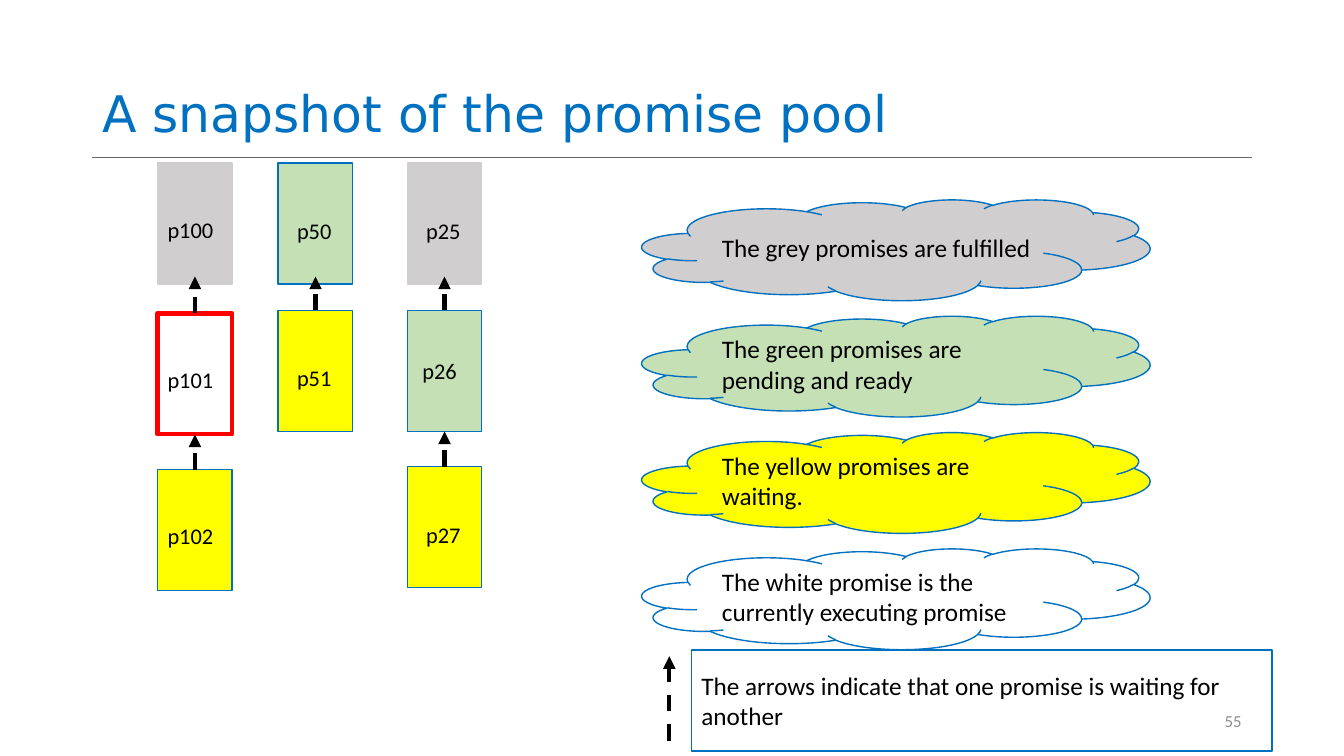
import pptx
import pptx.util
import pptx.dml.color
import pptx.enum.dml
import pptx.enum.shapes
import pptx.enum.text
import pptx.oxml.ns
from lxml import etree

Pt = pptx.util.Pt
SHAPE = pptx.enum.shapes.MSO_SHAPE
ALIGN = pptx.enum.text.PP_ALIGN
ANCHOR = pptx.enum.text.MSO_ANCHOR

BLUE, BLACK, RED, RULE = "0070C0", "000000", "FF0000", "666666"
FILLS = {"grey": "D0CECE", "green": "C5E0B4", "yellow": "FFFF00", "white": "FFFFFF"}

# Each chain: left edge, then (label, state, top, left inset, top inset) downwards
CHAINS = [
    (112.6, [("p100", "grey", 116.6, 7.2, 8), ("p101", "white", 223.9, 7.2, 8),
             ("p102", "yellow", 335.5, 7.2, 8)]),
    (198.7, [("p50", "green", 116.6, 13.5, 10), ("p51", "yellow", 221.8, 13.5, 10)]),
    (290.9, [("p25", "grey", 116.6, 13.5, 10), ("p26", "green", 221.8, 10.8, 0),
             ("p27", "yellow", 333.4, 13.5, 10)]),
]
PROMISE_WIDTH, PROMISE_HEIGHT = 53.3, 86.4
FIRST_ARROW_END = 197.6

LEGEND = [
    ("grey", "The grey promises are fulfilled"),
    ("green", "The green promises are pending and ready"),
    ("yellow", "The yellow promises are waiting."),
    ("white", "The white promise is the currently executing promise"),
]
CLOUD_LEFT, CLOUD_TOP, CLOUD_STEP = 458.6, 142.6, 83.1
CLOUD_WIDTH, CLOUD_HEIGHT = 362.9, 72


def rgb(value):
    return pptx.dml.color.RGBColor.from_string(value)


def write(box, text, size=18, color=BLACK, font="Calibri", align=ALIGN.LEFT,
          anchor=ANCHOR.MIDDLE, spacing=1.0, insets=(7.2, 3.6, 7.2, 3.6)):
    frame = box.text_frame
    frame.word_wrap = True
    frame.vertical_anchor = anchor
    (frame.margin_left, frame.margin_top,
     frame.margin_right, frame.margin_bottom) = map(Pt, insets)
    para = frame.paragraphs[0]
    para.alignment = align
    para.line_spacing = spacing
    span = para.add_run()
    span.text = text
    span.font.size = Pt(size)
    span.font.name = font
    span.font.color.rgb = rgb(color)


def add_box(page, kind, left, top, width, height, fill=None, line=BLUE, weight=1):
    box = page.shapes.add_shape(kind, Pt(left), Pt(top), Pt(width), Pt(height))
    box.shadow.inherit = False
    if fill:
        box.fill.solid()
        box.fill.fore_color.rgb = rgb(fill)
    else:
        box.fill.background()
    box.line.color.rgb = rgb(line)
    box.line.width = Pt(weight)
    return box


def add_line(page, x1, y1, x2, y2, color=BLACK, weight=3):
    line = page.shapes.add_connector(
        pptx.enum.shapes.MSO_CONNECTOR.STRAIGHT, Pt(x1), Pt(y1), Pt(x2), Pt(y2))
    line.line.color.rgb = rgb(color)
    line.line.width = Pt(weight)
    etree.SubElement(line._element.spPr, pptx.oxml.ns.qn("a:effectLst"))
    return line


def add_arrow(page, x, start, end):
    """Draw a dashed arrow pointing straight up."""
    arrow = add_line(page, x, start, x, end)
    arrow.line.dash_style = pptx.enum.dml.MSO_LINE.DASH
    head = etree.SubElement(arrow.line._get_or_add_ln(), pptx.oxml.ns.qn("a:tailEnd"))
    head.set("type", "triangle")
    return arrow


def add_chain(page, left, promises):
    """Stack promises, each with an arrow to the one above it."""
    boxes = []
    for label, state, top, inset_left, inset_top in promises:
        line, weight = BLUE, 1
        if state == "grey":
            line = FILLS["grey"]
        elif state == "white":
            line, weight = RED, 3
        box = add_box(page, SHAPE.RECTANGLE, left, top, PROMISE_WIDTH, PROMISE_HEIGHT,
                      FILLS[state], line, weight)
        write(box, label, size=16, insets=(inset_left, inset_top, 0, 0))
        boxes.append(box)
    middle = left + PROMISE_WIDTH / 2
    for row in range(1, len(boxes)):
        arrow = add_arrow(page, middle, promises[row][2], FIRST_ARROW_END)
        arrow.begin_connect(boxes[row], 0)
        if row > 1:
            arrow.end_connect(boxes[row - 1], 2)


def main():
    deck = pptx.Presentation()
    deck.slide_width, deck.slide_height = Pt(960), Pt(540)
    page = deck.slides.add_slide(deck.slide_layouts[6])

    add_line(page, 66, 112.5, 894, 112.5, RULE, 0.5)
    title = page.shapes.add_textbox(Pt(66), Pt(1.4), Pt(828), Pt(104.4))
    write(title, "A snapshot of the promise pool", size=36, color=BLUE,
          font="DejaVu Sans", anchor=ANCHOR.BOTTOM, spacing=0.9)
    number = page.shapes.add_textbox(Pt(678), Pt(500.5), Pt(216), Pt(28.8))
    write(number, "55", size=12, color="8C8C8C", align=ALIGN.RIGHT)

    for left, promises in CHAINS:
        add_chain(page, left, promises)

    for index, (state, text) in enumerate(LEGEND):
        cloud = add_box(page, SHAPE.CLOUD, CLOUD_LEFT, CLOUD_TOP + index * CLOUD_STEP,
                        CLOUD_WIDTH, CLOUD_HEIGHT, FILLS[state])
        write(cloud, text)

    add_arrow(page, 478.1, 529.2, 468.7)
    arrow_note = add_box(page, SHAPE.RECTANGLE, 493.9, 464.4, 414.7, 72)
    write(arrow_note, "The arrows indicate that one promise is waiting for another")

    deck.save("out.pptx")


if __name__ == "__main__":
    main()
